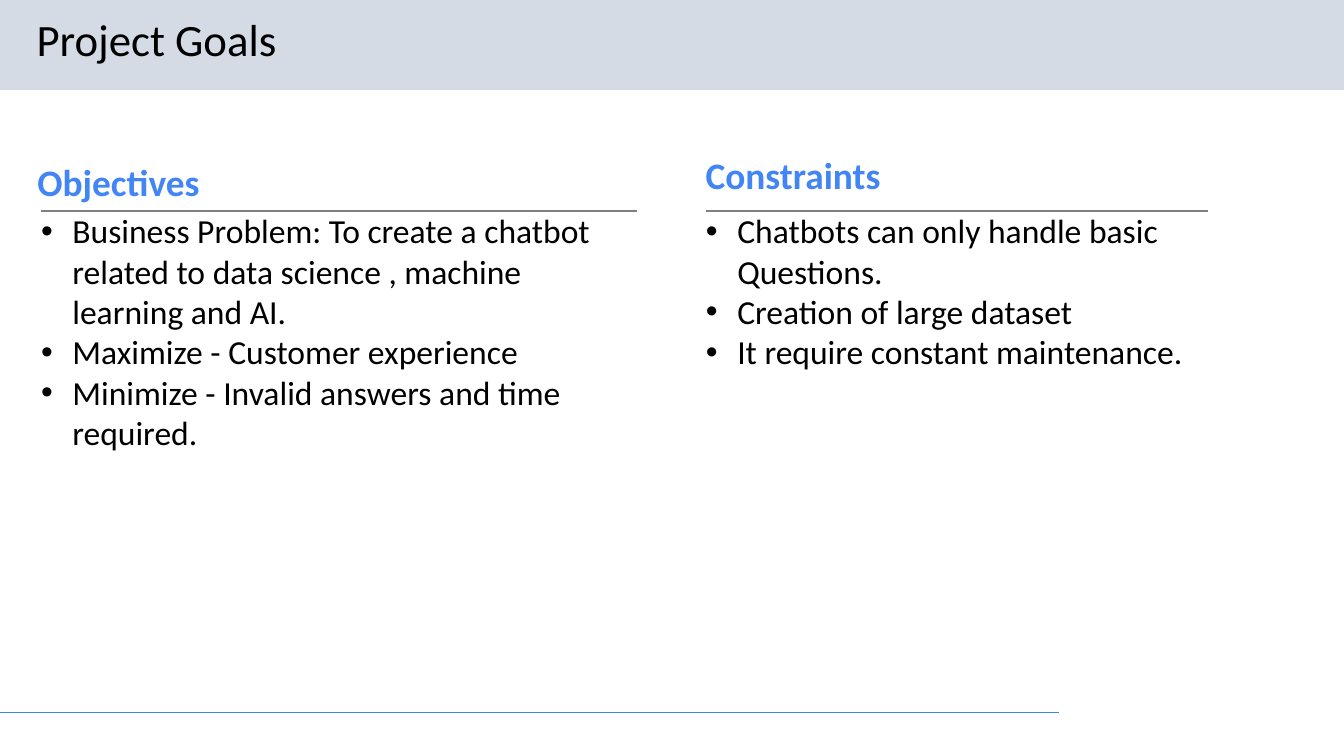
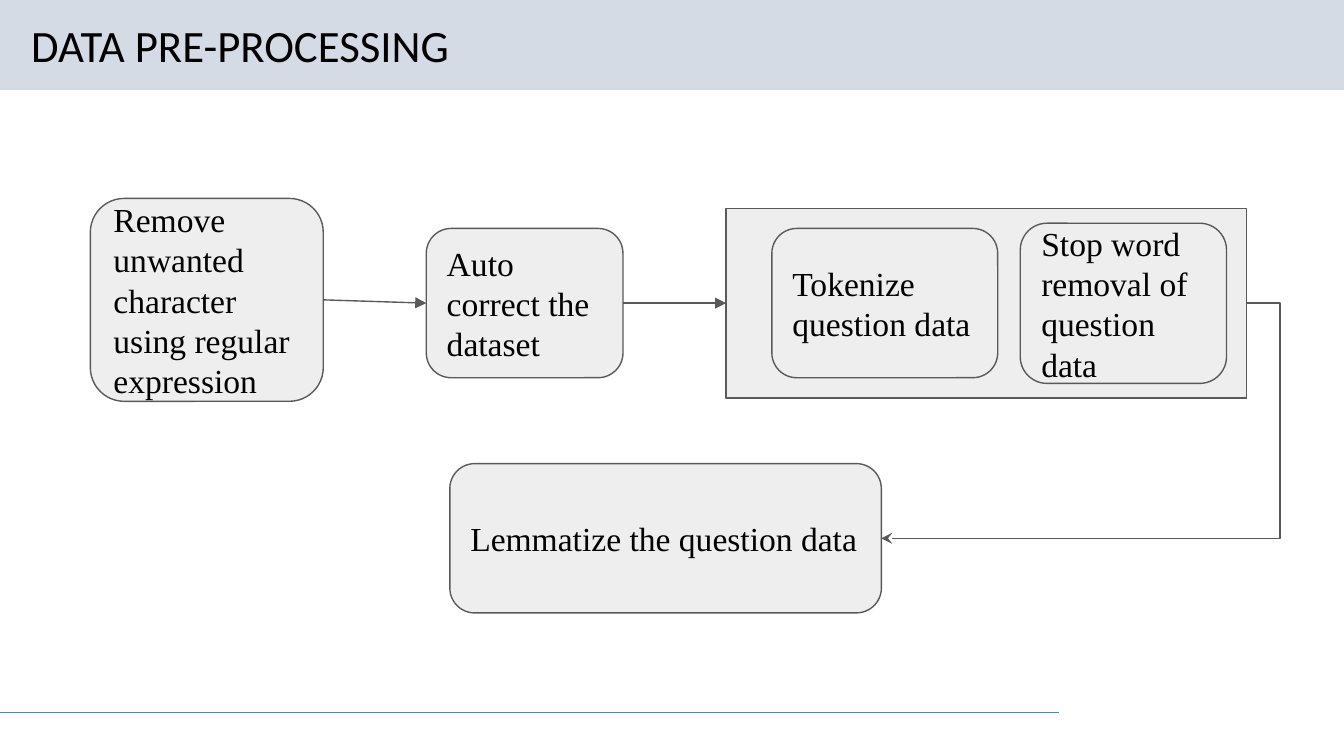
import dataclasses
import typing

import lxml.etree
import pptx
import pptx.dml.color
import pptx.enum.shapes
import pptx.enum.text
import pptx.oxml.ns
import pptx.util

Pt = pptx.util.Pt
Kind = pptx.enum.shapes.MSO_SHAPE
Link = pptx.enum.shapes.MSO_CONNECTOR
Anchor = pptx.enum.text.MSO_ANCHOR
Align = pptx.enum.text.PP_ALIGN
qn = pptx.oxml.ns.qn

BLUE, BAND, GREY = "4285F4", "D5DBE5", "808080"
INK, EDGE, PALE = "000000", "595959", "EEEEEE"
SANS, SERIF = "Calibri", "Times New Roman"
WIDE, HIGH = 720, 405
LEFT, RIGHT = 1, 3  # connection sites of a rectangle


@dataclasses.dataclass(frozen=True)
class Box:
    left: float
    top: float
    width: float
    height: float

    def place(self) -> list:
        return [Pt(side) for side in dataclasses.astuple(self)]


@dataclasses.dataclass(frozen=True)
class Style:
    size: float
    face: str = SANS
    hue: str = INK
    bold: bool = False
    space: float = 1.0
    inset: tuple = (0, 0)  # horizontal, vertical
    anchor: typing.Any = Anchor.MIDDLE


@dataclasses.dataclass(frozen=True)
class Column:
    head: Box
    title: str
    rule: tuple  # left and right end
    body: Box
    points: tuple


@dataclasses.dataclass(frozen=True)
class Step:
    text: str
    box: Box


TITLE = Style(24, space=0.9, inset=(5.2, 2.6))
HEAD = Style(20, hue=BLUE, bold=True, space=0.9)
BODY = Style(18, anchor=Anchor.TOP)
NODE = Style(18, face=SERIF, inset=(7.2, 7.2))
RULE_Y = 113

COLUMNS = (
    Column(Box(20, 88, 315, 21.6), "Objectives", (21.8, 341.2),
           Box(21.8, 112.7, 307.5, 150),
           ("Business Problem: To create a chatbot related to data science , "
            "machine learning and AI.",
            "Maximize - Customer experience",
            "Minimize - Invalid answers and time required.")),
    Column(Box(378, 84, 269.3, 21.6), "Constraints", (378, 647.3),
           Box(378, 112.7, 269.3, 106),
           ("Chatbots can only handle basic Questions.",
            "Creation of large dataset",
            "It require constant maintenance.")),
)

FRAME = Box(389, 111.6, 278.8, 101.6)
STEPS = {
    "clean": Step("Remove unwanted character using regular expression",
                  Box(48.4, 106.3, 124.8, 108.7)),
    "fix": Step("Auto correct the dataset", Box(228.4, 122.4, 105.4, 80)),
    "split": Step("Tokenize question data", Box(413.5, 122.4, 121, 80)),
    "stop": Step("Stop word removal of question data",
                 Box(546.6, 119.6, 110.5, 85.8)),
    "stem": Step("Lemmatize the question data", Box(241, 248.4, 231.2, 80)),
}


def paint(code: str) -> pptx.dml.color.RGBColor:
    return pptx.dml.color.RGBColor.from_string(code)


def apply(target: typing.Any, values: dict) -> None:
    for name, value in values.items():
        setattr(target, name, value)


def bullet(para: typing.Any) -> None:
    """Hang the paragraph on a black dot."""
    props = para._p.get_or_add_pPr()
    props.set("marL", str(Pt(17)))
    props.set("indent", str(-Pt(16.8)))
    tint = lxml.etree.SubElement(props, qn("a:buClr"))
    lxml.etree.SubElement(tint, qn("a:srgbClr"), val=INK)
    lxml.etree.SubElement(props, qn("a:buFont"), typeface="Arial")
    lxml.etree.SubElement(props, qn("a:buChar"), char="•")


def write(shape: typing.Any, lines: tuple, style: Style,
          dots: bool = False) -> None:
    frame = shape.text_frame
    side, edge = (Pt(gap) for gap in style.inset)
    apply(frame, {"word_wrap": True, "vertical_anchor": style.anchor,
                  "margin_left": side, "margin_right": side,
                  "margin_top": edge, "margin_bottom": edge})
    for index, line in enumerate(lines):
        para = frame.add_paragraph() if index else frame.paragraphs[0]
        apply(para, {"alignment": Align.LEFT, "line_spacing": style.space})
        if dots:
            bullet(para)
        run = para.add_run()
        run.text = line
        apply(run.font, {"size": Pt(style.size), "name": style.face,
                         "bold": style.bold})
        run.font.color.rgb = paint(style.hue)


def label(slide: typing.Any, box: Box, lines: tuple, style: Style,
          dots: bool = False) -> None:
    write(slide.shapes.add_textbox(*box.place()), lines, style, dots)


def block(slide: typing.Any, kind: typing.Any, box: Box, fill: str,
          edge: str = "") -> typing.Any:
    shape = slide.shapes.add_shape(kind, *box.place())
    shape.shadow.inherit = False
    shape.fill.solid()
    shape.fill.fore_color.rgb = paint(fill)
    if edge:
        shape.line.color.rgb = paint(edge)
        shape.line.width = Pt(0.75)
    else:
        shape.line.fill.background()
    return shape


def stroke(slide: typing.Any, start: tuple, end: tuple, hue: str,
           kind: typing.Any = Link.STRAIGHT) -> typing.Any:
    line = slide.shapes.add_connector(
        kind, *(Pt(value) for value in start + end))
    line.line.color.rgb = paint(hue)
    line.line.width = Pt(0.75)
    lxml.etree.SubElement(line._element.spPr, qn("a:effectLst"))
    return line


def arrow(slide: typing.Any, start: typing.Any, end: typing.Any,
          site: int = LEFT, tip: str = "triangle", bend: int = 0) -> None:
    """Join the right of one shape to a site of another; bend is in 1/100000."""
    kind = Link.ELBOW if bend else Link.STRAIGHT
    line = stroke(slide, (0, 0), (0, 0), EDGE, kind)
    line.begin_connect(start, RIGHT)
    line.end_connect(end, site)
    lxml.etree.SubElement(line.line._get_or_add_ln(), qn("a:tailEnd"),
                          type=tip)
    if bend:
        shape = line._element.spPr.find(qn("a:prstGeom"))
        guides = shape.find(qn("a:avLst"))
        if guides is None:
            guides = lxml.etree.SubElement(shape, qn("a:avLst"))
        lxml.etree.SubElement(guides, qn("a:gd"), name="adj1",
                              fmla=f"val {bend}")


def begin(deck: typing.Any, title: str, box: Box) -> typing.Any:
    """Add a slide with the shared band, footer line and title."""
    slide = deck.slides.add_slide(deck.slide_layouts[6])
    block(slide, Kind.RECTANGLE, Box(0, 0, WIDE, 48.2), BAND)
    stroke(slide, (0, 381.6), (567.4, 381.6), BLUE)
    label(slide, box, (title,), TITLE)
    return slide


def goals(deck: typing.Any) -> None:
    slide = begin(deck, "Project Goals", Box(14.4, 6.5, 466, 31.7))
    for column in COLUMNS:
        label(slide, column.head, (column.title,), HEAD)
        label(slide, column.body, column.points, BODY, dots=True)
        left, right = column.rule
        stroke(slide, (left, RULE_Y), (right, RULE_Y), GREY)


def process(deck: typing.Any) -> None:
    slide = begin(deck, "DATA PRE-PROCESSING", Box(11.5, 10, 620.6, 31.7))
    frame = block(slide, Kind.RECTANGLE, FRAME, PALE, EDGE)
    nodes = {}
    for name, step in STEPS.items():
        nodes[name] = block(slide, Kind.ROUNDED_RECTANGLE, step.box, PALE,
                            EDGE)
        write(nodes[name], (step.text,), NODE)
    arrow(slide, nodes["clean"], nodes["fix"])
    arrow(slide, nodes["fix"], frame)
    arrow(slide, frame, nodes["stem"], RIGHT, "stealth", -9200)


def main() -> None:
    deck = pptx.Presentation()
    apply(deck, {"slide_width": Pt(WIDE), "slide_height": Pt(HIGH)})
    goals(deck)
    process(deck)
    deck.save("out.pptx")


if __name__ == "__main__":
    main()
